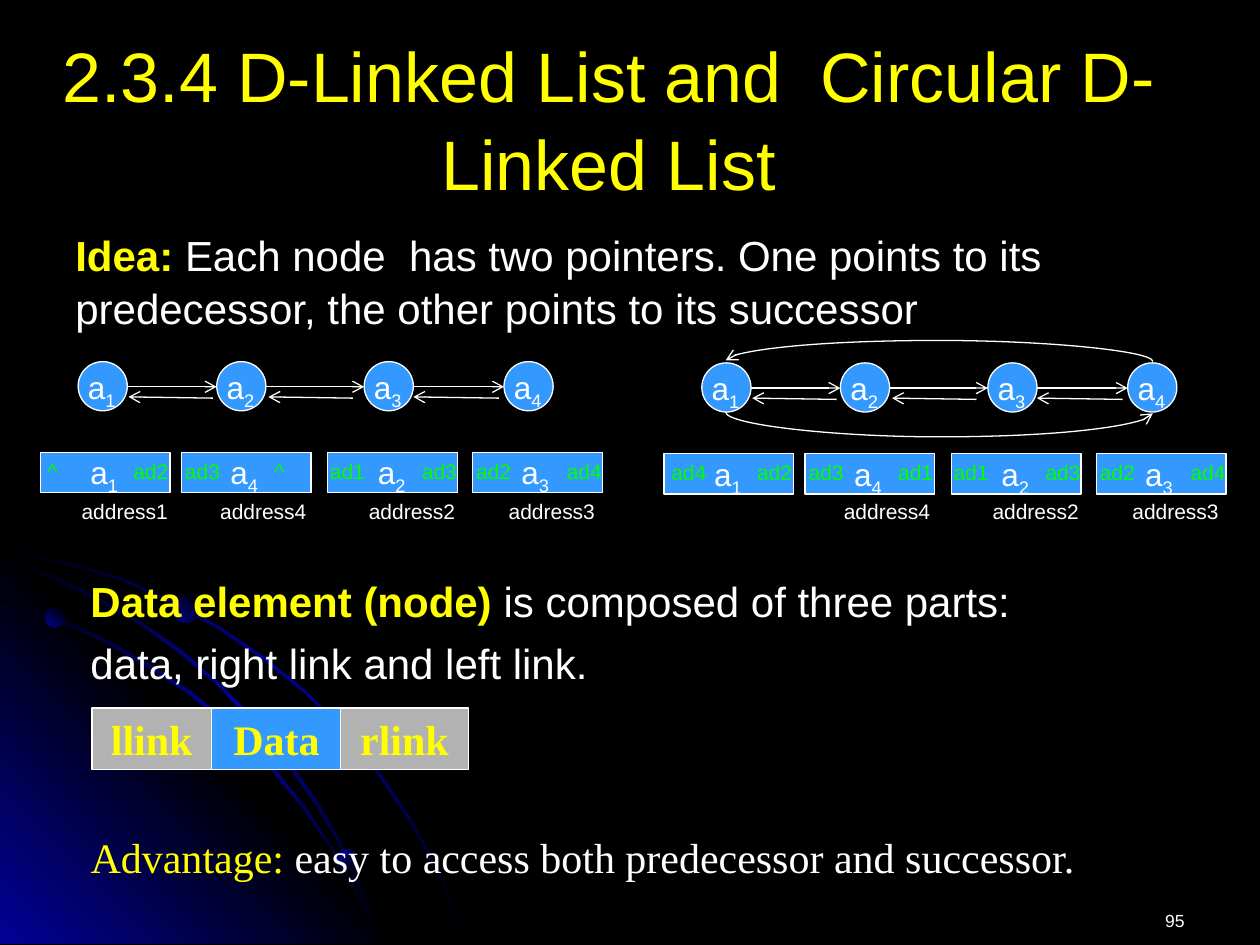
import pptx
import pptx.dml.color
import pptx.enum.shapes
import pptx.enum.text
import pptx.oxml
import pptx.oxml.ns
import pptx.util

RGB = pptx.dml.color.RGBColor
BLACK = RGB(0x00, 0x00, 0x00)
WHITE = RGB(0xFF, 0xFF, 0xFF)
YELLOW = RGB(0xFF, 0xFF, 0x00)
GREEN = RGB(0x00, 0xFF, 0x00)
BLUE = RGB(0x33, 0x99, 0xFF)
GREY = RGB(0xB2, 0xB2, 0xB2)
NAVY = RGB(0x01, 0x01, 0x99)

SHAPE = pptx.enum.shapes.MSO_SHAPE
CONNECTOR = pptx.enum.shapes.MSO_CONNECTOR
ALIGN = pptx.enum.text.PP_ALIGN
ANCHOR = pptx.enum.text.MSO_ANCHOR
NS = pptx.oxml.ns.nsdecls("a")
EMU_PER_PX = 9144  # 100 px to the inch


def px(n):
    return pptx.util.Emu(n * EMU_PER_PX)


def write(tf, *paragraphs, size=12, color=WHITE, font="Arial", bold=False,
          align=ALIGN.LEFT, anchor=ANCHOR.TOP, wrap=True, spacing=None, before=0):
    """Each paragraph is a list of (text, overrides); overrides: color, bold, baseline."""
    tf.word_wrap = wrap
    tf.vertical_anchor = anchor
    for i, runs in enumerate(paragraphs):
        p = tf.add_paragraph() if i else tf.paragraphs[0]
        p.alignment = align
        if spacing:
            p.line_spacing = spacing
        if i and before:
            p.space_before = pptx.util.Pt(before)
        for text, own in runs:
            r = p.add_run()
            r.text = text
            r.font.name = font
            r.font.size = pptx.util.Pt(size)
            r.font.bold = own.get("bold", bold)
            r.font.color.rgb = own.get("color", color)
            if "baseline" in own:
                r.font._element.set("baseline", str(own["baseline"] * 1000))


class Painter:
    line_width = pptx.util.Pt(0.75)

    def __init__(self, slide):
        self.slide = slide

    def text(self, x, y, w, h, *paragraphs, **fmt):
        s = self.slide.shapes.add_textbox(px(x), px(y), px(w), px(h))
        write(s.text_frame, *paragraphs, **fmt)

    def shape(self, kind, x, y, w, h, fill=BLUE):
        s = self.slide.shapes.add_shape(kind, px(x), px(y), px(w), px(h))
        s.shadow.inherit = False
        s.fill.solid()
        s.fill.fore_color.rgb = fill
        s.line.color.rgb = WHITE
        s.line.width = self.line_width
        return s

    def node_label(self, x, y, number):
        self.text(x, y, 43, 40, [("a", {}), (str(number), {"baseline": -25})],
                  size=18, wrap=False)

    def arrow(self, x1, y1, x2, y2, kind=CONNECTOR.STRAIGHT):
        s = self.slide.shapes.add_connector(kind, px(x1), px(y1), px(x2), px(y2))
        s.line.color.rgb = WHITE
        s.line.width = self.line_width
        s.line._get_or_add_ln().append(
            pptx.oxml.parse_xml(f'<a:tailEnd {NS} type="arrow"/>'))
        s._element.spPr.append(pptx.oxml.parse_xml(f"<a:effectLst {NS}/>"))
        return s

    def arc(self, x, y, span, depth, degrees):
        """Curved arrow centred on x, y, drawn upright and then turned."""
        top = y - span // 2
        s = self.arrow(x, top + span, x + 1, top, CONNECTOR.CURVE)
        spPr = s._element.spPr
        spPr.find(pptx.oxml.ns.qn("a:xfrm")).set("rot", str(degrees * 60000))
        geom = spPr.find(pptx.oxml.ns.qn("a:prstGeom"))
        for old in list(geom):
            geom.remove(old)
        geom.append(pptx.oxml.parse_xml(
            f'<a:avLst {NS}><a:gd name="adj1" fmla="val {depth * 100000}"/></a:avLst>'))

    def gradient(self, s, colors, degrees):
        s.shadow.inherit = False
        s.line.fill.background()
        s.fill.background()
        step = 100000 // (len(colors) - 1)
        stops = "".join(f'<a:gs pos="{i * step}"><a:srgbClr val="{c}"/></a:gs>'
                        for i, c in enumerate(colors))
        spPr = s._element.spPr
        spPr.replace(spPr.find(pptx.oxml.ns.qn("a:noFill")), pptx.oxml.parse_xml(
            f'<a:gradFill {NS} rotWithShape="1"><a:gsLst>{stops}</a:gsLst>'
            f'<a:lin ang="{degrees * 60000}" scaled="1"/></a:gradFill>'))

    def outline(self, points, colors, degrees):
        fb = self.slide.shapes.build_freeform(*points[0], scale=EMU_PER_PX)
        fb.add_line_segments(points[1:])
        self.gradient(fb.convert_to_shape(), colors, degrees)

    def dot(self, x, y, d, degrees):
        s = self.slide.shapes.add_shape(SHAPE.OVAL, px(x), px(y), px(d), px(d))
        self.gradient(s, (NAVY, BLACK), degrees)


OUTER_TRAIL = [
    (57, 447), (28, 441), (0, 435), (0, 438), (28, 443), (56, 449), (97, 461), (135, 478),
    (173, 499), (208, 523), (241, 549), (271, 579), (298, 612), (323, 649), (337, 673),
    (350, 698), (360, 723), (370, 749), (372, 749), (362, 723), (352, 698), (339, 673),
    (325, 648), (300, 611), (272, 578), (242, 548), (209, 521), (174, 497), (136, 477),
    (98, 459)]
GLOW = [(322, 749), (0, 749), (0, 427)]
INNER_TRAIL = [
    (285, 714), (294, 732), (301, 749), (303, 749), (296, 730), (286, 712), (266, 676),
    (242, 640), (215, 606), (184, 576), (152, 549), (117, 526), (79, 505), (41, 488),
    (0, 475), (0, 477), (39, 490), (77, 507), (115, 528), (150, 551), (183, 578),
    (213, 608), (240, 641), (265, 677)]
MIDDLE_TRAIL = [
    (0, 442), (0, 444), (36, 457), (74, 475), (109, 494), (142, 518), (173, 544), (202, 575),
    (227, 605), (252, 641), (267, 667), (280, 694), (292, 722), (301, 749), (303, 749),
    (294, 720), (282, 693), (269, 665), (254, 639), (229, 603), (204, 573), (175, 543),
    (144, 516), (111, 493), (76, 473), (39, 455)]

CIRCLE_X = (62, 172, 289, 400)
BACK_ARROWS = ((169, 102), (280, 213), (396, 328))
# box x, data x, element number, left link x, right link x, address x, address width
CELLS = (
    (32, 62, 1, 28, 96, 54, 90),
    (144, 173, 4, 137, 208, 163, 92),
    (260, 290, 2, 252, 325, 272, 110),
    (375, 404, 3, 368, 440, 383, 110),
)


def draw_backdrop(d):
    trail = (BLACK, NAVY, BLACK)
    d.outline(OUTER_TRAIL, trail, 45)
    d.outline(GLOW, (NAVY, BLACK, NAVY), 315)
    d.outline(INNER_TRAIL, trail, 45)
    d.outline(MIDDLE_TRAIL, trail, 45)
    d.dot(36, 483, 15, 315)
    d.dot(267, 674, 16, 45)
    d.dot(137, 473, 21, 315)


def draw_list(d, dx, dy, links, addressed):
    """links: (left, right) link of each cell; addressed: element numbers with an address."""
    for number, x in enumerate(CIRCLE_X, 1):
        d.shape(SHAPE.OVAL, x + dx, 287 + dy, 39, 39)
        d.node_label(x - 2 + dx, 287 + dy, number)
    for left, right in zip(CIRCLE_X, CIRCLE_X[1:]):
        d.arrow(left + 39 + dx, 307 + dy, right + dx, 307 + dy)
    for start, end in BACK_ARROWS:
        d.arrow(start + dx, 316 + dy, end + dx, 315 + dy)
    for cell, (left, right) in zip(CELLS, links):
        box_x, data_x, number, left_x, right_x, address_x, address_w = cell
        d.shape(SHAPE.RECTANGLE, box_x + dx, 359 + dy, 103, 32)
        d.node_label(data_x + dx, 355 + dy, number)
        d.text(left_x + dx, 359 + dy, 54, 30, [(left, {})], color=GREEN)
        d.text(right_x + dx, 359 + dy, 48, 30, [(right, {})], color=GREEN,
               wrap=right == "^")
        if number in addressed:
            d.text(address_x + dx, 391, address_w, 30, [(f"address{number}", {})],
                   align=ALIGN.CENTER)


def main():
    prs = pptx.Presentation()
    prs.slide_width, prs.slide_height = px(1000), px(750)
    slide = prs.slides.add_slide(prs.slide_layouts[6])
    slide.background.fill.solid()
    slide.background.fill.fore_color.rgb = BLACK
    d = Painter(slide)
    draw_backdrop(d)

    strong = {"color": YELLOW, "bold": True}
    d.text(16, 30, 934, 125, [("2.3.4 D-Linked List and  Circular D-Linked List", {})],
           size=40, color=YELLOW, align=ALIGN.CENTER, anchor=ANCHOR.MIDDLE, spacing=1.05)
    d.text(50, 175, 900, 112,
           [("Idea:", strong), (" Each node  has two pointers. One points to its "
                                "predecessor, the other points to its successor", {})],
           size=24, spacing=1.05)

    draw_list(d, 0, 0, (("^", "ad2"), ("ad3", "^"), ("ad1", "ad3"), ("ad2", "ad4")),
              (1, 2, 3, 4))
    draw_list(d, 495, 1, (("ad4", "ad2"), ("ad3", "ad1"), ("ad1", "ad3"), ("ad2", "ad4")),
              (2, 3, 4))
    d.arc(745, 286, 339, 17, 270)
    d.arc(745, 327, 339, 20, 90)

    d.text(62, 450, 900, 112,
           [("Data element (node) ", strong), ("is composed of three parts:", {})],
           [("data, right link and left link.", {})], size=24, spacing=1.05, before=5)
    for x, w, label, fill in ((73, 95, "llink", GREY), (168, 103, "Data", BLUE),
                              (270, 102, "rlink", GREY)):
        s = d.shape(SHAPE.RECTANGLE, x, 562, w, 49, fill)
        write(s.text_frame, [(label, {})], size=24, font="Times New Roman", color=YELLOW,
              bold=True, align=ALIGN.CENTER, anchor=ANCHOR.MIDDLE, wrap=False)
    d.text(62, 655, 831, 50,
           [("Advantage:", {"color": YELLOW}),
            (" easy to access both predecessor and successor.", {})],
           size=24, font="Times New Roman")
    d.text(717, 717, 233, 33, [("95", {})], size=10, align=ALIGN.RIGHT)
    prs.save("out.pptx")


if __name__ == "__main__":
    main()
